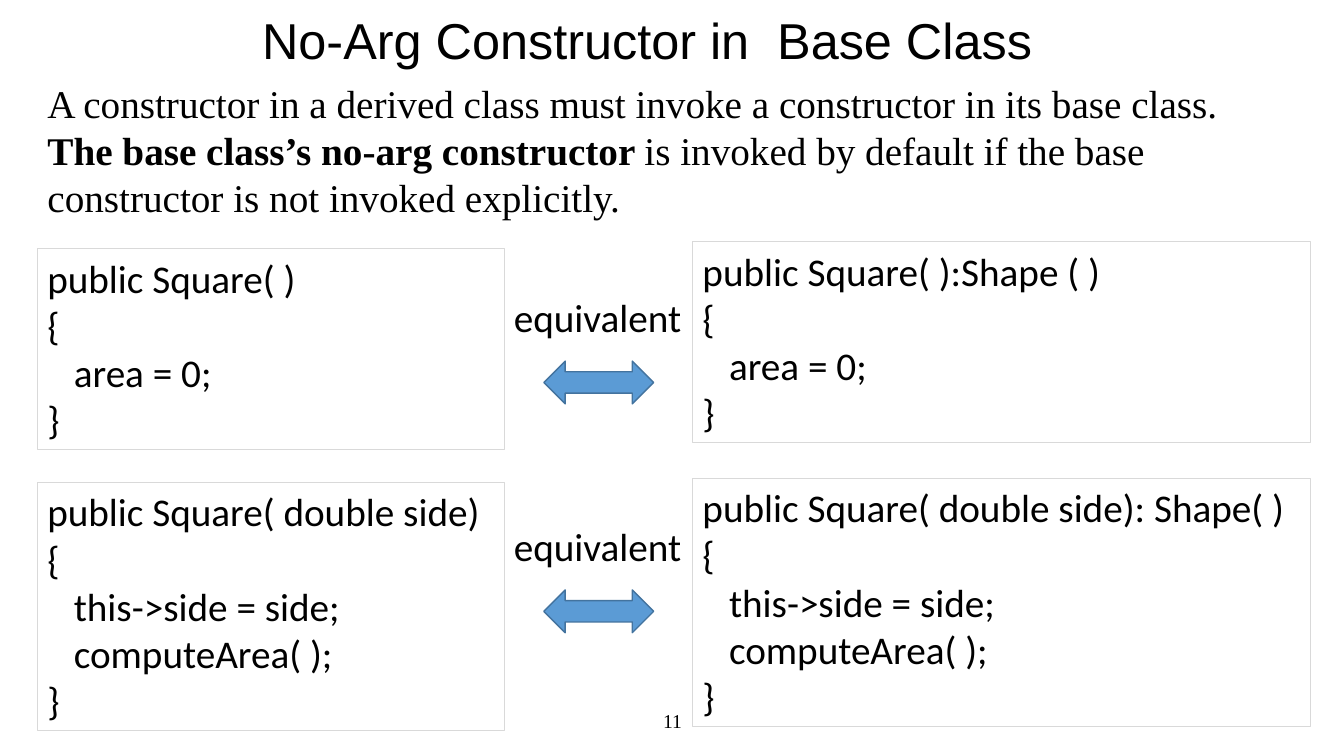
import dataclasses

import pptx
import pptx.dml.color
import pptx.enum.shapes
import pptx.enum.text
import pptx.util
from pptx.enum.text import MSO_ANCHOR, PP_ALIGN


@dataclasses.dataclass(frozen=True)
class Theme:
    text: str = "000000"
    frame: str = "D9D9D9"
    arrow: str = "5B9BD5"
    arrow_edge: str = "43739E"
    title_font: str = "Arial"
    body_font: str = "Times New Roman"
    code_font: str = "Calibri"
    title_size: int = 36
    body_size: int = 28
    number_size: int = 14


THEME = Theme()
WIDTH, HEIGHT = pptx.util.Inches(13.33), pptx.util.Inches(7.5)

# Columns (left, width) and rows (top, height), in percent of the slide
LEFT, MIDDLE, RIGHT = (2.78, 34.73), (37.5, 14.1), (51.53, 45.97)
SHORT, TALL = 26.53, 32.8
LINK_HEIGHT = 15.3

PAIRS = [
    # left code, left top, right code, right top, height, link top
    (["public Square( )", "{", "   area = 0;", "}"], 32.93,
     ["public Square( ):Shape ( )", "{", "   area = 0;", "}"], 32,
     SHORT, 38.13),
    (["public Square( double side)", "{", "   this->side = side;",
      "   computeArea( );", "}"], 63.87,
     ["public Square( double side): Shape( )", "{", "   this->side = side;",
      "   computeArea( );", "}"], 63.33,
     TALL, 68.4),
]


def rgb(value):
    return pptx.dml.color.RGBColor.from_string(value)


def place(box):
    """Turn a box in percent of the slide into lengths."""
    x, y, w, h = box
    return [int(share * size / 100) for share, size in
            ((x, WIDTH), (y, HEIGHT), (w, WIDTH), (h, HEIGHT))]


def move(sp, box):
    sp.left, sp.top, sp.width, sp.height = place(box)


def write(sp, lines, font, size, align=PP_ALIGN.LEFT, anchor=MSO_ANCHOR.TOP,
          wrap=True, spacing=1.0):
    """Fill a shape with lines, each a list of (text, bold) runs."""
    tf = sp.text_frame
    tf.word_wrap = wrap
    tf.auto_size = pptx.enum.text.MSO_AUTO_SIZE.NONE
    tf.vertical_anchor = anchor
    for i, runs in enumerate(lines):
        p = tf.paragraphs[0] if i == 0 else tf.add_paragraph()
        p.alignment = align
        p.line_spacing = spacing
        p.space_before = pptx.util.Pt(0)
        for text, bold in runs:
            r = p.add_run()
            r.text = text
            r.font.name = font
            r.font.size = pptx.util.Pt(size)
            r.font.bold = bold
            r.font.color.rgb = rgb(THEME.text)


def add_preset(s, kind, box, line, width, fill=None):
    sp = s.shapes.add_shape(kind, *place(box))
    sp.shadow.inherit = False
    if fill:
        sp.fill.solid()
        sp.fill.fore_color.rgb = rgb(fill)
    else:
        sp.fill.background()
    sp.line.color.rgb = rgb(line)
    sp.line.width = pptx.util.Pt(width)
    return sp


def add_title(s, box):
    sp = s.shapes.title
    move(sp, box)
    write(sp, [[("No-Arg Constructor in  Base Class", False)]],
          THEME.title_font, THEME.title_size,
          anchor=MSO_ANCHOR.MIDDLE, spacing=0.9)


def add_body(s, box):
    sp = s.placeholders[1]
    move(sp, box)
    write(sp, [
        [("A constructor in a derived class must invoke a constructor "
          "in its base class.", False)],
        [("The base class’s no-arg constructor ", True),
         ("is invoked by default if the base constructor is not invoked "
          "explicitly.", False)],
    ], THEME.body_font, THEME.body_size)
    # Plain paragraphs: no bullet, no indent
    for p in sp.text_frame.paragraphs:
        pPr = p._p.get_or_add_pPr()
        pPr.set("marL", "0")
        pPr.set("indent", "0")
        pPr.append(pptx.oxml.parse_xml(
            '<a:buNone xmlns:a="http://schemas.openxmlformats.org/'
            'drawingml/2006/main"/>'))


def add_code(s, box, lines):
    sp = add_preset(s, pptx.enum.shapes.MSO_SHAPE.RECTANGLE, box,
                    THEME.frame, 0.75)
    write(sp, [[(line, False)] for line in lines],
          THEME.code_font, THEME.body_size)


def add_link(s, box):
    """Label in the upper half of the box, double arrow at its foot."""
    x, y, w, h = box
    label = s.shapes.add_textbox(*place((x, y, w, h * 0.5)))
    write(label, [[("equivalent", False)]], THEME.code_font,
          THEME.body_size, wrap=False)
    add_preset(s, pptx.enum.shapes.MSO_SHAPE.LEFT_RIGHT_ARROW,
               (x + w * 0.21, y + h * 0.63, w * 0.58, h * 0.37),
               THEME.arrow_edge, 1, THEME.arrow)


def add_number(s, box):
    sp = s.shapes.add_textbox(*place(box))
    write(sp, [[("11", False)]], THEME.body_font, THEME.number_size,
          align=PP_ALIGN.CENTER, anchor=MSO_ANCHOR.MIDDLE)


def main():
    prs = pptx.Presentation()
    prs.slide_width, prs.slide_height = WIDTH, HEIGHT
    s = prs.slides.add_slide(prs.slide_layouts[1])

    # Heading, statement and slide number
    add_title(s, (18.75, 0.53, 63.77, 10.27))
    add_body(s, (2.78, 9.87, 94.75, 20.13))
    add_number(s, (33.16, 92.67, 33.76, 5.33))

    # Each row: two code boxes joined by a link
    for left, left_top, right, right_top, height, link_top in PAIRS:
        add_code(s, (LEFT[0], left_top, LEFT[1], height), left)
        add_code(s, (RIGHT[0], right_top, RIGHT[1], height), right)
        add_link(s, (MIDDLE[0], link_top, MIDDLE[1], LINK_HEIGHT))

    prs.save("out.pptx")


if __name__ == "__main__":
    main()
